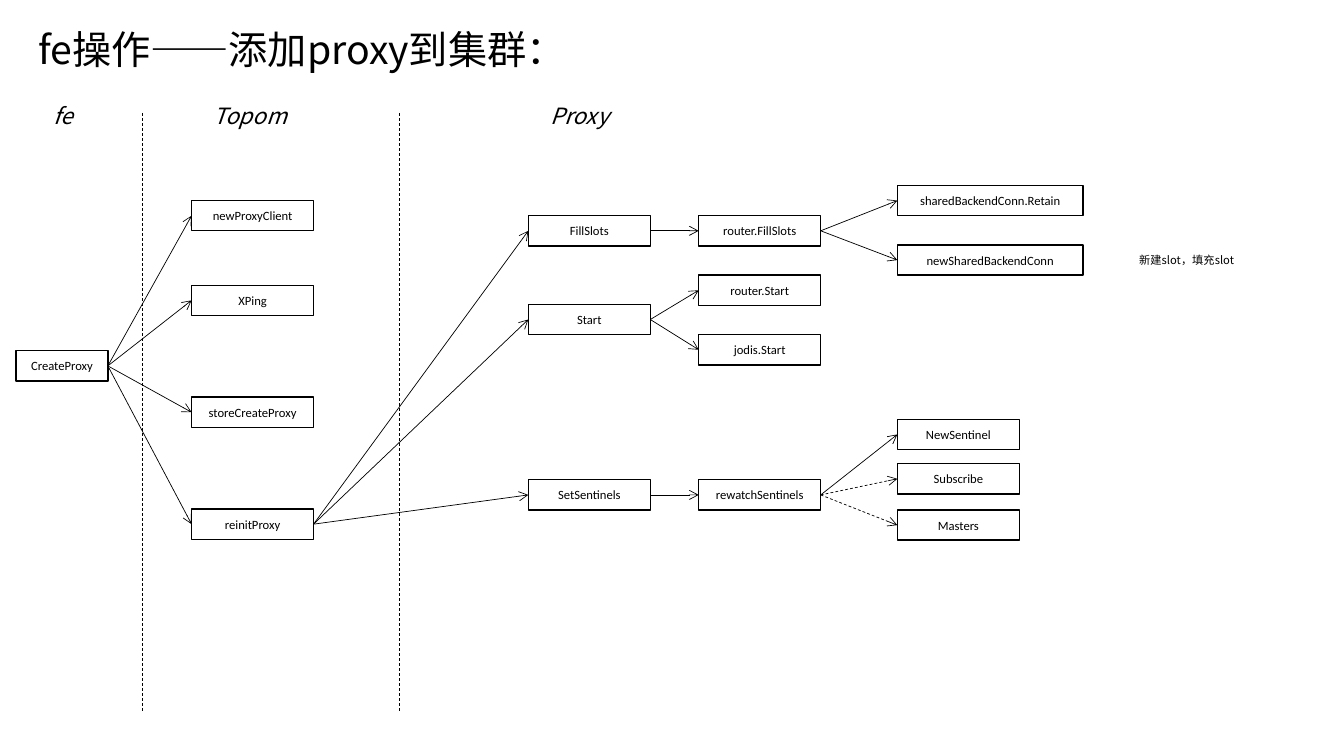
import pptx
import pptx.dml.color
import pptx.enum.dml
import pptx.enum.shapes
import pptx.enum.text
import pptx.oxml.ns
import pptx.util
from lxml import etree

EMU_PER_PX = 9144  # 100 px to the inch
COLORS = {"ink": "000000", "paper": "FFFFFF"}
CALL_FONT = "Calibri"
LABEL_FONT = "Noto Sans CJK JP"
CALL_HEIGHT = 30
CALL_WIDTH = 121
WIDE_CALL_WIDTH = 184
RIGHT_SIDE, LEFT_SIDE = 3, 1

# left edge of a column: (width, {call: top})
CALL_COLUMNS = {
    16: (91, {"CreateProxy": 348}),
    190: (CALL_WIDTH, {"newProxyClient": 199, "XPing": 283,
                       "storeCreateProxy": 394, "reinitProxy": 505}),
    524: (CALL_WIDTH, {"FillSlots": 214, "Start": 302, "SetSentinels": 476}),
    693: (CALL_WIDTH, {"router.FillSlots": 214, "router.Start": 273,
                       "jodis.Start": 332, "rewatchSentinels": 476}),
    890: (CALL_WIDTH, {"NewSentinel": 416, "Subscribe": 460, "Masters": 506}),
}
BACKEND_CALLS = {"sharedBackendConn.Retain": 184, "newSharedBackendConn": 243}

CALLEES = {
    "CreateProxy": ["newProxyClient", "XPing", "storeCreateProxy", "reinitProxy"],
    "reinitProxy": ["FillSlots", "Start", "SetSentinels"],
    "FillSlots": ["router.FillSlots"],
    "router.FillSlots": list(BACKEND_CALLS),
    "Start": ["router.Start", "jodis.Start"],
    "SetSentinels": ["rewatchSentinels"],
    "rewatchSentinels": ["NewSentinel", "Subscribe", "Masters"],
}
DASHED_CALLEES = {"Subscribe", "Masters"}
LANE_LABELS = {"fe": 43, "Topom": 202, "Proxy": 536}
LANE_BORDERS = [141, 396]


def px(length):
    return pptx.util.Emu(length * EMU_PER_PX)


def color(name):
    return pptx.dml.color.RGBColor.from_string(COLORS[name])


def style_font(paragraph, family, size, italic=None):
    font = paragraph.font
    font.name = family
    font.size = pptx.util.Pt(size)
    font.italic = italic
    font.color.rgb = color("ink")


def add_label(slide, text, left, top, width, height, size, italic=None):
    label = slide.shapes.add_textbox(px(left), px(top), px(width), px(height))
    label.text_frame.word_wrap = True
    paragraph = label.text_frame.paragraphs[0]
    paragraph.text = text
    style_font(paragraph, LABEL_FONT, size, italic)
    # East Asian characters take their typeface from a:ea
    east_asian = etree.SubElement(paragraph.font._element, pptx.oxml.ns.qn("a:ea"))
    east_asian.set("typeface", LABEL_FONT)


def add_call(slide, name, left, top, width):
    call = slide.shapes.add_shape(
        pptx.enum.shapes.MSO_SHAPE.RECTANGLE,
        px(left), px(top), px(width), px(CALL_HEIGHT))
    call.shadow.inherit = False
    call.fill.solid()
    call.fill.fore_color.rgb = color("paper")
    call.line.color.rgb = color("ink")
    call.line.width = pptx.util.Pt(1)
    frame = call.text_frame
    frame.vertical_anchor = pptx.enum.text.MSO_ANCHOR.MIDDLE
    paragraph = frame.paragraphs[0]
    paragraph.text = name
    paragraph.alignment = pptx.enum.text.PP_ALIGN.CENTER
    style_font(paragraph, CALL_FONT, 9)
    return call


def add_thin_line(slide, start, end, dashed):
    line = slide.shapes.add_connector(
        pptx.enum.shapes.MSO_CONNECTOR.STRAIGHT,
        px(start[0]), px(start[1]), px(end[0]), px(end[1]))
    line.line.color.rgb = color("ink")
    line.line.width = pptx.util.Pt(0.5)
    if dashed:
        line.line.dash_style = pptx.enum.dml.MSO_LINE.DASH
    etree.SubElement(line._element.spPr, pptx.oxml.ns.qn("a:effectLst"))
    return line


def add_call_arrow(slide, caller, callee, dashed):
    arrow = add_thin_line(slide, (0, 0), (0, 0), dashed)
    arrow.begin_connect(caller, RIGHT_SIDE)
    arrow.end_connect(callee, LEFT_SIDE)
    outline = arrow.line._get_or_add_ln()
    etree.SubElement(outline, pptx.oxml.ns.qn("a:tailEnd")).set("type", "arrow")


def main():
    deck = pptx.Presentation()
    deck.slide_width, deck.slide_height = px(1333), px(750)
    slide = deck.slides.add_slide(deck.slide_layouts[6])

    add_label(slide, "fe操作——添加proxy到集群：", 28, 20, 555, 57, 28)

    calls = {}
    for left, (width, tops) in CALL_COLUMNS.items():
        for name, top in tops.items():
            calls[name] = add_call(slide, name, left, top, width)
    for name, top in BACKEND_CALLS.items():
        calls[name] = add_call(slide, name, 890, top, WIDE_CALL_WIDTH)

    for caller, callees in CALLEES.items():
        for callee in callees:
            add_call_arrow(slide, calls[caller], calls[callee],
                           callee in DASHED_CALLEES)

    for border in LANE_BORDERS:
        add_thin_line(slide, (border, 112), (border, 706), dashed=True)
    for lane, left in LANE_LABELS.items():
        add_label(slide, lane, left, 96, 98, 37, 16, italic=True)
    add_label(slide, "新建slot，填充slot", 1120, 246, 131, 23, 8)

    deck.save("out.pptx")


if __name__ == "__main__":
    main()
